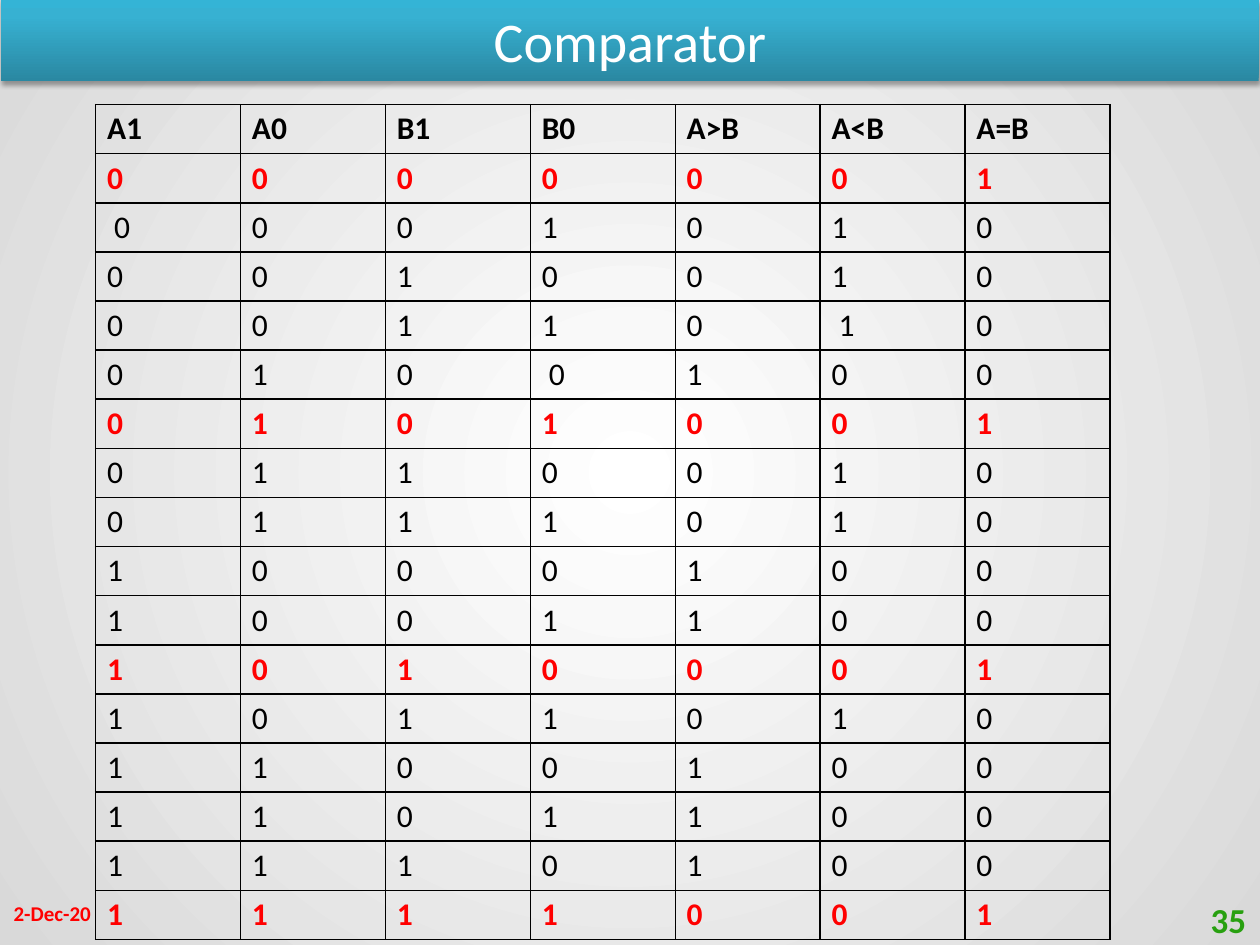
from itertools import product

from lxml import etree
from pptx import Presentation
from pptx.dml.color import RGBColor
from pptx.enum import shapes, text
from pptx.oxml import parse_xml
from pptx.oxml.ns import nsdecls, qn
from pptx.util import Inches, Pt

WHITE = RGBColor(0xFF, 0xFF, 0xFF)
BLACK = RGBColor(0x00, 0x00, 0x00)
RED = RGBColor(0xFF, 0x00, 0x00)
GREEN = RGBColor(0x28, 0xA0, 0x10)
SILVER = RGBColor(0xD9, 0xD9, 0xD9)
TEAL_DARK = RGBColor(0x2A, 0x88, 0xA2)
TEAL = RGBColor(0x37, 0xB1, 0xD2)
TEAL_LIGHT = RGBColor(0x34, 0xB4, 0xD6)


def set_gradient(fill, element, stops, direction):
    fill.gradient()
    grad = next(element.iter(qn("a:gradFill")))
    stop_xml = "".join(
        f'<a:gs pos="{pos * 1000}"><a:srgbClr val="{color}"/></a:gs>' for pos, color in stops)
    grad.getparent().replace(grad, parse_xml(
        f'<a:gradFill {nsdecls("a")} rotWithShape="1"><a:gsLst>{stop_xml}</a:gsLst>'
        f'{direction}</a:gradFill>'))


def write(tf, content, size, color, bold=False, align=text.PP_ALIGN.LEFT):
    tf.text = content
    p = tf.paragraphs[0]
    p.alignment = align
    font = p.runs[0].font
    font.name, font.size, font.bold = "Calibri", Pt(size), bold
    font.color.rgb = color


prs = Presentation()
prs.slide_width, prs.slide_height = Inches(10), Inches(7.5)
s = prs.slides.add_slide(prs.slide_layouts[6])

# Background
set_gradient(s.background.fill, s.element, [(0, WHITE), (100, SILVER)],
             '<a:path path="circle"><a:fillToRect l="50000" t="50000" r="50000" b="50000"/></a:path>')

# Title bar
sp = s.shapes.add_shape(shapes.MSO_SHAPE.RECTANGLE, Inches(0.01), 0, Inches(9.98), Inches(0.64))
set_gradient(sp.fill, sp.element, [(0, TEAL_DARK), (80, TEAL), (100, TEAL_LIGHT)],
             '<a:lin ang="16200000" scaled="0"/>')
sp.line.fill.background()
sp.shadow.inherit = False
effects = sp.element.spPr.find(qn("a:effectLst"))
effects.append(parse_xml(
    f'<a:outerShdw {nsdecls("a")} blurRad="{Pt(3.1)}" dist="{Pt(1.8)}" dir="5400000" rotWithShape="0">'
    f'<a:srgbClr val="{BLACK}"><a:alpha val="35000"/></a:srgbClr></a:outerShdw>'))
sp.text_frame.word_wrap = True
sp.text_frame.auto_size = text.MSO_AUTO_SIZE.SHAPE_TO_FIT_TEXT
sp.text_frame.vertical_anchor = text.MSO_ANCHOR.TOP
write(sp.text_frame, "Comparator", 32, WHITE, align=text.PP_ALIGN.CENTER)

# Date and slide number
for left, top, content, size, color, align in [
    (0.01, 7.05, "2-Dec-20", 12, RED, text.PP_ALIGN.LEFT),
    (7.66, 7.1, "35", 20, GREEN, text.PP_ALIGN.RIGHT),
]:
    tf = s.shapes.add_textbox(Inches(left), Inches(top), Inches(2.33), Inches(0.4)).text_frame
    tf.word_wrap = True
    tf.vertical_anchor = text.MSO_ANCHOR.MIDDLE
    write(tf, content, size, color, True, align)

# Truth table values; a few cells start with a no-break space
rows = [["A1", "A0", "B1", "B0", "A>B", "A<B", "A=B"]]
for a1, a0, b1, b0 in product((0, 1), repeat=4):
    a, b = 2 * a1 + a0, 2 * b1 + b0
    rows.append([str(int(v)) for v in (a1, a0, b1, b0, a > b, a < b, a == b)])
for i, j in [(2, 0), (4, 5), (5, 3)]:
    rows[i][j] = " " + rows[i][j]

# Table
row_height, col_width = Inches(0.39), Inches(1.15)
table = s.shapes.add_table(len(rows), 7, Inches(0.76), Inches(0.83),
                           7 * col_width, len(rows) * row_height).table
table.first_row = table.horz_banding = False
for col in table.columns:
    col.width = col_width
for i, values in enumerate(rows):
    table.rows[i].height = row_height
    equal = values[-1] == "1"
    for j, value in enumerate(values):
        cell = table.cell(i, j)
        cell.vertical_anchor = text.MSO_ANCHOR.MIDDLE
        cell.margin_left = cell.margin_right = Inches(0.09)
        cell.margin_top = cell.margin_bottom = Inches(0.04)
        write(cell.text_frame, value, 18, RED if equal else BLACK, equal or i == 0)
        tcPr = cell._tc.get_or_add_tcPr()
        for side in ("lnL", "lnR", "lnT", "lnB"):
            ln = etree.SubElement(tcPr, qn(f"a:{side}"), w=str(Pt(1)))
            line_fill = etree.SubElement(ln, qn("a:solidFill"))
            etree.SubElement(line_fill, qn("a:srgbClr"), val=str(BLACK))
        cell.fill.background()

prs.save("out.pptx")
